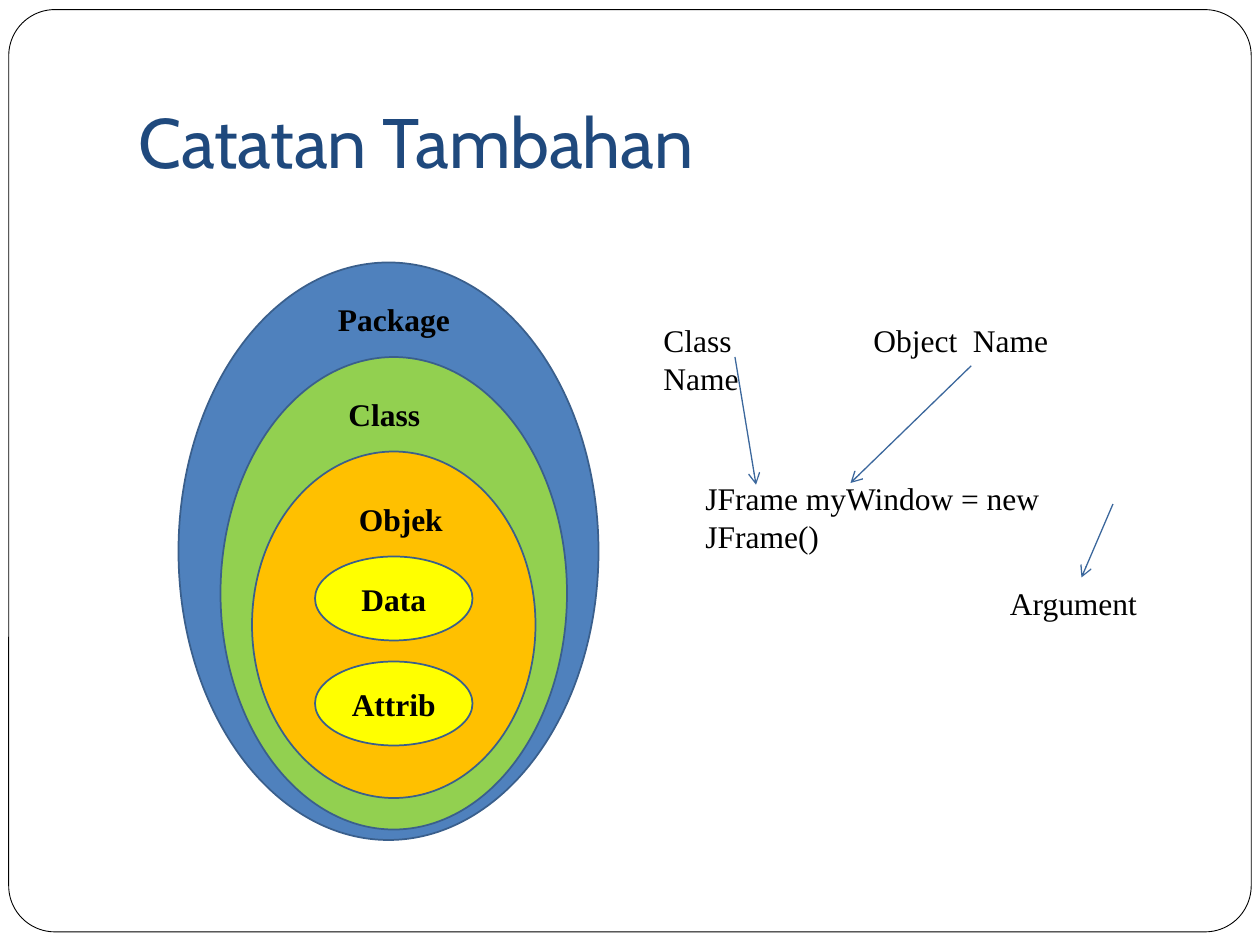
from dataclasses import dataclass

import lxml.etree
import pptx
import pptx.dml.color
import pptx.enum.shapes
import pptx.enum.text
import pptx.oxml.ns
import pptx.slide
import pptx.text.text
import pptx.util

Pt = pptx.util.Pt
RGBColor = pptx.dml.color.RGBColor
Shape = pptx.enum.shapes.MSO_SHAPE
Anchor = pptx.enum.text.MSO_ANCHOR
Align = pptx.enum.text.PP_ALIGN

BLACK = RGBColor(0x00, 0x00, 0x00)
WHITE = RGBColor(0xFF, 0xFF, 0xFF)
NAVY = RGBColor(0x1F, 0x49, 0x7D)
BLUE = RGBColor(0x4F, 0x81, 0xBD)
GREEN = RGBColor(0x92, 0xD0, 0x50)
ORANGE = RGBColor(0xFF, 0xC0, 0x00)
YELLOW = RGBColor(0xFF, 0xFF, 0x00)
OUTLINE = RGBColor(0x3A, 0x5F, 0x8C)
ARROW = RGBColor(0x3B, 0x67, 0x9C)

LABEL_HEIGHT = 29


@dataclass(frozen=True)
class Oval:
    left: float
    top: float
    width: float
    height: float
    fill: RGBColor
    text: str = ""


@dataclass(frozen=True)
class Label:
    text: str
    left: float
    top: float
    width: float
    bold: bool = False


@dataclass(frozen=True)
class Arrow:
    start: tuple[float, float]
    end: tuple[float, float]


OVALS = [
    Oval(102, 150, 240, 330, BLUE),
    Oval(126, 204, 198, 270, GREEN),
    Oval(144, 258, 162, 198, ORANGE),
    Oval(180, 318, 90, 48, YELLOW, "Data"),
    Oval(180, 378, 90, 48, YELLOW, "Attrib"),
]
LABELS = [
    Label("Objek", 198, 282, 66, bold=True),
    Label("Class", 192, 222, 66, bold=True),
    Label("Package", 186, 168, 90, bold=True),
    Label("JFrame myWindow = new JFrame()", 396, 270, 264),
    Label("Class Name", 372, 180, 96),
    Label("Object  Name", 492, 180, 126),
    Label("Argument", 570, 330, 96),
]
ARROWS = [
    Arrow((420, 204), (432, 277)),
    Arrow((555, 209), (486, 276)),
    Arrow((636, 288), (618, 330)),
]


def write_text(
    frame: pptx.text.text.TextFrame,
    text: str,
    *,
    size: float = 18,
    font: str = "Times New Roman",
    color: RGBColor = BLACK,
    bold: bool = False,
    align: Align = Align.LEFT,
    anchor: Anchor = Anchor.TOP,
) -> None:
    frame.word_wrap = True
    frame.vertical_anchor = anchor
    para = frame.paragraphs[0]
    para.alignment = align
    span = para.add_run()
    span.text = text
    span.font.size = Pt(size)
    span.font.name = font
    span.font.bold = bold
    span.font.color.rgb = color


def draw_frame(page: pptx.slide.Slide) -> None:
    border = page.shapes.add_shape(
        Shape.ROUNDED_RECTANGLE, Pt(5), Pt(5.5), Pt(710), Pt(527)
    )
    border.adjustments[0] = 0.05
    border.shadow.inherit = False
    border.fill.solid()
    border.fill.fore_color.rgb = WHITE
    border.line.color.rgb = BLACK
    border.line.width = Pt(0.5)


def draw_title(page: pptx.slide.Slide, text: str) -> None:
    box = page.shapes.add_textbox(Pt(72), Pt(21.6), Pt(612), Pt(90))
    box.text_frame.margin_bottom = Pt(7.2)
    write_text(
        box.text_frame, text, size=40, font="Cabin", color=NAVY, anchor=Anchor.BOTTOM
    )


def draw_oval(page: pptx.slide.Slide, oval: Oval) -> None:
    shape = page.shapes.add_shape(
        Shape.OVAL, Pt(oval.left), Pt(oval.top), Pt(oval.width), Pt(oval.height)
    )
    shape.shadow.inherit = False
    shape.fill.solid()
    shape.fill.fore_color.rgb = oval.fill
    shape.line.color.rgb = OUTLINE
    shape.line.width = Pt(1)
    if oval.text:
        write_text(
            shape.text_frame,
            oval.text,
            bold=True,
            align=Align.CENTER,
            anchor=Anchor.MIDDLE,
        )


def draw_label(page: pptx.slide.Slide, label: Label) -> None:
    box = page.shapes.add_textbox(
        Pt(label.left), Pt(label.top), Pt(label.width), Pt(LABEL_HEIGHT)
    )
    write_text(box.text_frame, label.text, bold=label.bold)
    box.text_frame.auto_size = pptx.enum.text.MSO_AUTO_SIZE.SHAPE_TO_FIT_TEXT


def draw_arrow(page: pptx.slide.Slide, arrow: Arrow) -> None:
    points = [Pt(value) for value in (*arrow.start, *arrow.end)]
    connector = page.shapes.add_connector(
        pptx.enum.shapes.MSO_CONNECTOR.STRAIGHT, *points
    )
    connector.line.color.rgb = ARROW
    connector.line.width = Pt(0.75)
    qualify = pptx.oxml.ns.qn
    outline = connector.line._get_or_add_ln()
    lxml.etree.SubElement(outline, qualify("a:tailEnd"), type="arrow")
    lxml.etree.SubElement(connector._element.spPr, qualify("a:effectLst"))


def main() -> None:
    deck = pptx.Presentation()
    deck.slide_width, deck.slide_height = Pt(720), Pt(540)
    page = deck.slides.add_slide(deck.slide_layouts[6])
    draw_frame(page)
    draw_title(page, "Catatan Tambahan")
    for oval in OVALS:
        draw_oval(page, oval)
    for label in LABELS:
        draw_label(page, label)
    for arrow in ARROWS:
        draw_arrow(page, arrow)
    deck.save("out.pptx")


if __name__ == "__main__":
    main()
